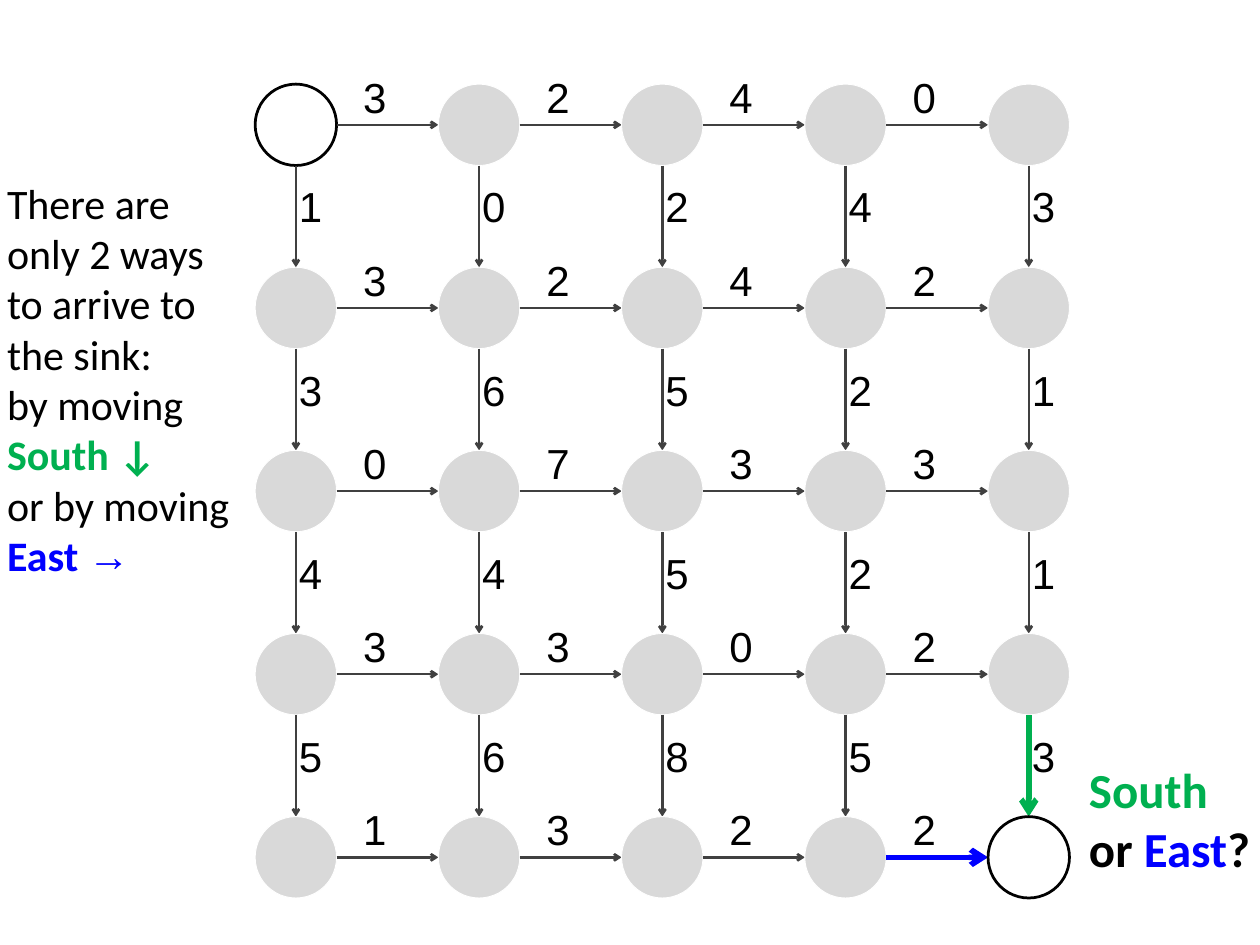
from dataclasses import dataclass
from itertools import product

from lxml import etree
from pptx import Presentation
from pptx import util as u
from pptx.dml.color import RGBColor
from pptx.enum import shapes, text
from pptx.oxml import ns


@dataclass(frozen=True)
class Theme:
    """Colours, fonts and type sizes of the slide."""
    ink: str = "000000"
    paper: str = "FFFFFF"
    node: str = "D9D9D9"
    edge: str = "404040"
    south: str = "00B050"
    east: str = "0000FF"
    weight_font: str = "Arial"
    note_font: str = "Calibri"
    body_size: float = 34.1
    question_size: float = 39.8
    inset: float = 0.08


@dataclass(frozen=True)
class Box:
    """A region in inches."""
    left: float
    top: float
    width: float
    height: float

    def inches(self):
        """Return the four sides as lengths."""
        return [u.Inches(side) for side in (self.left, self.top, self.width, self.height)]


THEME = Theme()
WIDTH, HEIGHT = 14.22, 10.67
SIZE = 5
EAST_WEIGHTS = ["3240", "3242", "0733", "3302", "1322"]
SOUTH_WEIGHTS = ["10243", "36521", "44521", "56853"]


def share(left, top, width, height):
    """Return a box given as shares of the slide's size."""
    return Box(left * WIDTH, top * HEIGHT, width * WIDTH, height * HEIGHT)


def colour(code):
    """Turn a hex code into a colour."""
    return RGBColor.from_string(code)


def write(page, box, paragraphs, font, size):
    """Place paragraphs of (words, colour, bold, font) spans in a box."""
    frame = page.shapes.add_textbox(*box.inches()).text_frame
    frame.word_wrap = True
    frame.vertical_anchor = text.MSO_ANCHOR.TOP
    frame.margin_left = frame.margin_right = u.Inches(THEME.inset)
    frame.margin_top = frame.margin_bottom = u.Inches(THEME.inset)
    for index, spans in enumerate(paragraphs):
        para = frame.add_paragraph() if index else frame.paragraphs[0]
        for words, code, bold, *other_font in spans:
            span = para.add_run()
            span.text = words
            span.font.name = other_font[0] if other_font else font
            span.font.size = u.Pt(size)
            span.font.bold = bold
            span.font.color.rgb = colour(code)


def draw_arrow(page, start, end, code, weight):
    """Draw a straight arrow between two points."""
    points = [u.Inches(value) for value in (*start, *end)]
    arrow = page.shapes.add_connector(shapes.MSO_CONNECTOR.STRAIGHT, *points)
    arrow.line.color.rgb = colour(code)
    arrow.line.width = u.Pt(weight)
    etree.SubElement(arrow.line._get_or_add_ln(), ns.qn("a:tailEnd"), type="arrow")
    etree.SubElement(arrow._element.spPr, ns.qn("a:effectLst"))


def draw_node(page, box, is_end):
    """Draw a grid node, outlined when it is the source or the sink."""
    node = page.shapes.add_shape(shapes.MSO_SHAPE.OVAL, *box.inches())
    node.shadow.inherit = False
    node.fill.solid()
    node.fill.fore_color.rgb = colour(THEME.paper if is_end else THEME.node)
    node.line.color.rgb = colour(THEME.ink if is_end else THEME.paper)
    node.line.width = u.Pt(2.25 if is_end else 0.75)


def draw_weight(page, left, top, pitch, digit):
    """Write the weight of one edge."""
    box = Box(left, top, 0.18 * pitch, 0.33 * pitch)
    write(page, box, [[(digit, THEME.ink, False)]], THEME.weight_font, THEME.body_size)


def draw_lattice(page, box):
    """Draw the weighted grid of nodes and arrows inside a box."""
    size = 0.1 * box.width
    pitch = (box.width - size) / (SIZE - 1)
    last = SIZE - 1
    for row, column in product(range(SIZE), repeat=2):
        left, top = box.left + column * pitch, box.top + row * pitch
        middle, centre = left + size / 2, top + size / 2
        draw_node(page, Box(left, top, size, size), (row, column) in ((0, 0), (last, last)))
        if column < last:
            final = (row, column) == (last, last - 1)
            draw_arrow(page, (left + size, centre), (left + pitch, centre),
                       THEME.east if final else THEME.edge, 4.5 if final else 2)
            draw_weight(page, left + 0.55 * pitch, top - 0.11 * pitch, pitch,
                        EAST_WEIGHTS[row][column])
        if row < last:
            final = (row, column) == (last - 1, last)
            draw_arrow(page, (middle, top + size), (middle, top + pitch),
                       THEME.south if final else THEME.edge, 4.5 if final else 2)
            draw_weight(page, left + 0.2 * pitch, top + 0.49 * pitch, pitch,
                        SOUTH_WEIGHTS[row][column])


def draw_explanation(page, box):
    """Explain the two ways to reach the sink."""
    write(page, box, [
        [("There are only 2 ways to arrive to the sink:", THEME.ink, False)],
        [("by moving ", THEME.ink, False), ("South ↓", THEME.south, True)],
        [("or by moving ", THEME.ink, False), ("East ", THEME.east, True),
         ("→", THEME.east, True, THEME.weight_font)],
    ], THEME.note_font, THEME.body_size)


def draw_question(page, box):
    """Ask which direction leads to the sink."""
    write(page, box, [[
        ("South ", THEME.south, True), ("or ", THEME.ink, True),
        ("East", THEME.east, True), ("?", THEME.ink, True),
    ]], THEME.note_font, THEME.question_size)


def main():
    """Build and save the deck."""
    deck = Presentation()
    deck.slide_width, deck.slide_height = u.Inches(WIDTH), u.Inches(HEIGHT)
    page = deck.slides.add_slide(deck.slide_layouts[6])
    draw_lattice(page, Box(2.88, 0.95, 9.19, 9.19))
    draw_question(page, Box(12.21, 8.5, 2.01, 2.11))
    draw_explanation(page, share(0, 0.18, 0.2, 0.44))
    deck.save("out.pptx")


if __name__ == "__main__":
    main()
